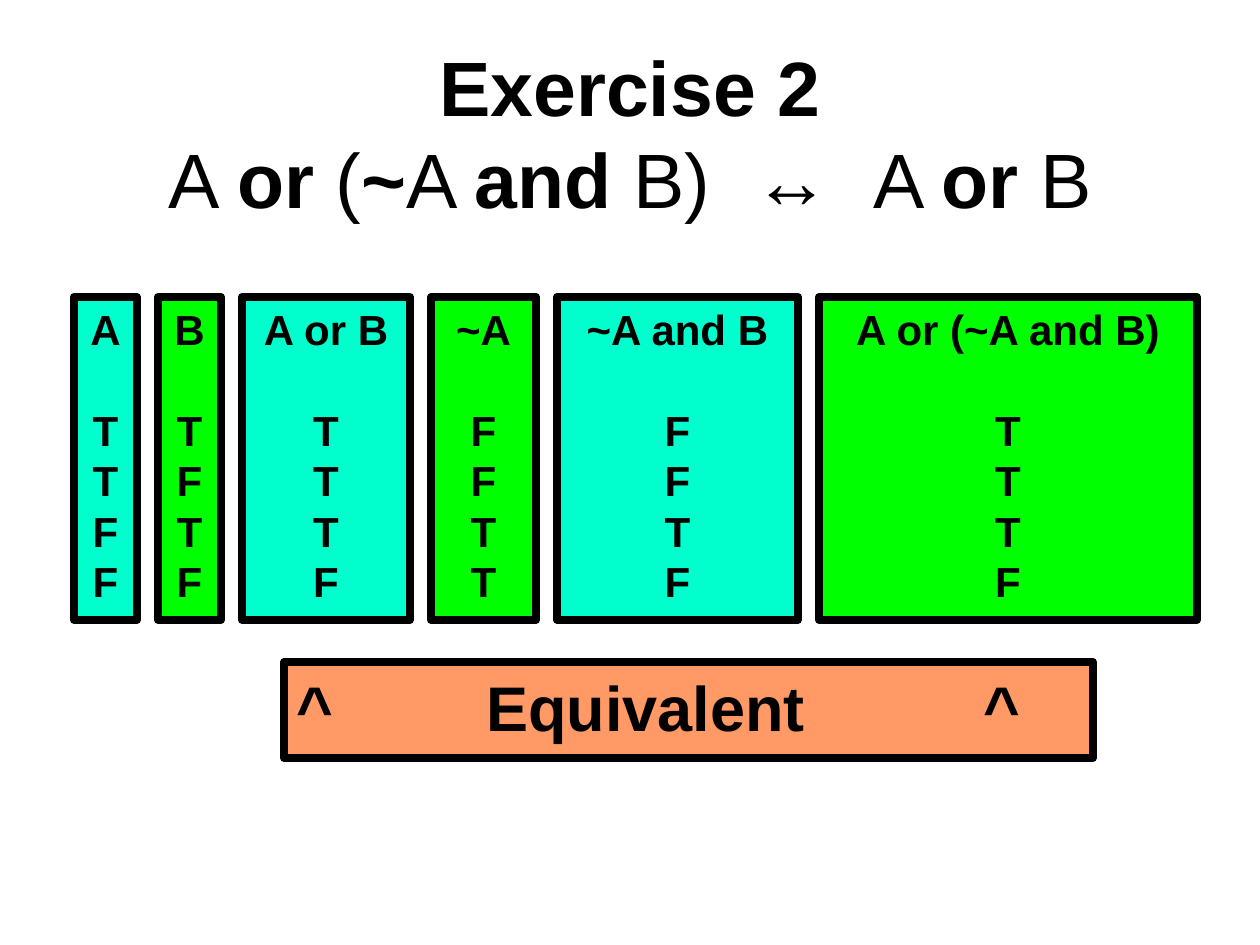
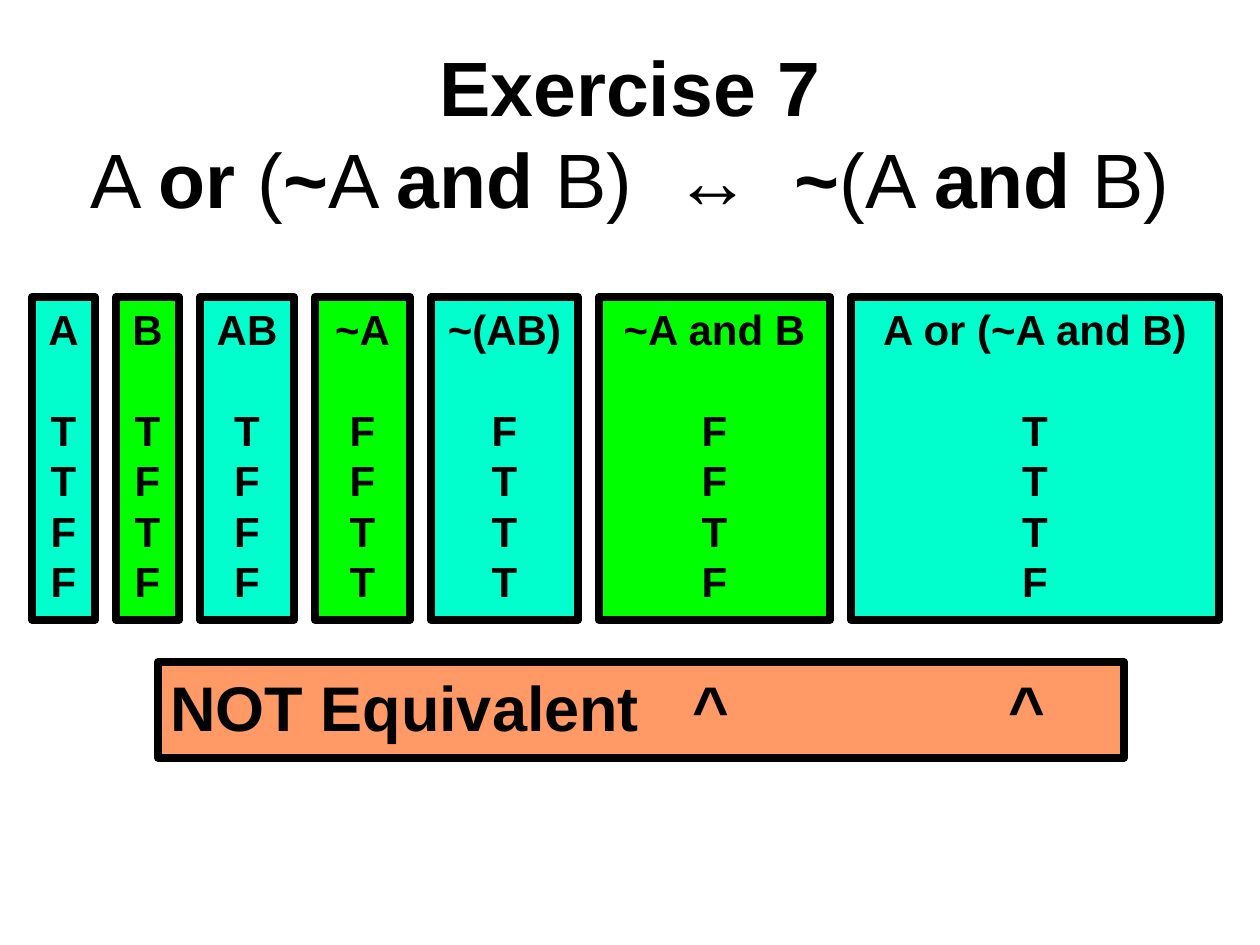
from dataclasses import dataclass

from lxml.etree import SubElement
from pptx import Presentation
from pptx.dml.color import RGBColor as Rgb
from pptx.enum.shapes import MSO_SHAPE as Shape
from pptx.enum.text import MSO_ANCHOR as Anchor, MSO_AUTO_SIZE as Fit, PP_ALIGN as Align
from pptx.oxml.ns import qn
from pptx.util import Pt

PX = 914400 // 126


@dataclass(frozen=True)
class Theme:
    """Colours, font and sizes that both slides share."""
    ink: Rgb = Rgb(0, 0, 0)
    bands: tuple = (Rgb(0, 255, 204), Rgb(0, 255, 0))
    verdict: Rgb = Rgb(255, 153, 102)
    font: str = "Arial"
    title: int = 44
    cell: int = 24
    banner: int = 36
    line: float = 4.5
    gap: int = 21


THEME = Theme()

TASKS = [
    {
        "name": "Exercise 2",
        "claim": "A |*or |(|*~|A |*and |B)| |↔| |A |*or |B",
        "left": 74,
        "cols": [("A", "TTFF", 63), ("B", "TFTF", 63), ("A or B", "TTTF", 168),
                 ("~A", "FFTT", 105), ("~A and B", "FFTF", 241),
                 ("A or (~A and B)", "TTTF", 378)],
        "verdict": ("^\tEquivalent\t^", 284, 809, (190, 687)),
    },
    {
        "name": "Exercise 7",
        "claim": "A |*or |(|*~|A |*and |B)| |↔| |*~|(A |*and |B)",
        "left": 32,
        "cols": [("A", "TTFF", 63), ("B", "TFTF", 63), ("AB", "TFFF", 94),
                 ("~A", "FFTT", 95), ("~(AB)", "FTTT", 147),
                 ("~A and B", "FFTF", 231), ("A or (~A and B)", "TTTF", 368)],
        "verdict": ("NOT Equivalent\t^\t^", 158, 966, (522, 838)),
    },
]


def assign(item, form):
    """Set each attribute in form on item."""
    for name, value in form.items():
        setattr(item, name, value)


def add_run(para, text, size, bold=True):
    """Add a run in the shared font and ink."""
    run = para.add_run()
    run.text = text
    assign(run.font, {"name": THEME.font, "size": Pt(size), "bold": bold})
    run.font.color.rgb = THEME.ink
    return run


def add_title(slide, name, claim):
    """Put the exercise name above its claim, with starred parts in bold."""
    title = slide.shapes.title
    place = {"left": 0, "top": 53, "width": 1260, "height": 158}
    assign(title, {side: size * PX for side, size in place.items()})
    frame = title.text_frame
    assign(frame, {"word_wrap": True, "auto_size": Fit.NONE,
                   "vertical_anchor": Anchor.MIDDLE})
    para = frame.paragraphs[0]
    para.alignment = Align.CENTER
    add_run(para, name, THEME.title)
    para.add_line_break()
    for part in claim.split("|"):
        run = add_run(para, part.lstrip("*"), THEME.title, part.startswith("*"))
        if part == " ":
            run.font._element.set("spc", "1222")


def add_box(slide, left, top, width, height, fill):
    """Draw a framed box and return its text frame."""
    box = slide.shapes.add_shape(
        Shape.RECTANGLE, *(size * PX for size in (left, top, width, height)))
    box.shadow.inherit = False
    box.fill.solid()
    box.fill.fore_color.rgb = fill
    box.line.color.rgb = THEME.ink
    box.line.width = Pt(THEME.line)
    assign(box.text_frame, {"word_wrap": True, "auto_size": Fit.NONE,
                            "vertical_anchor": Anchor.TOP})
    return box.text_frame


def add_column(slide, left, width, fill, head, truths):
    """Draw one truth column: a heading, a gap and its values."""
    frame = add_box(slide, left, 297, width, 323, fill)
    for row, text in enumerate((head, *truths)):
        para = frame.add_paragraph() if row else frame.paragraphs[0]
        para.alignment = Align.CENTER
        add_run(para, text, THEME.cell)
    frame.paragraphs[0].space_after = Pt(29)


def add_table_row(slide, left, cols):
    """Lay the truth columns side by side in alternating colours."""
    for spot, (head, truths, width) in enumerate(cols):
        fill = THEME.bands[spot % len(THEME.bands)]
        add_column(slide, left, width, fill, head, truths)
        left += width + THEME.gap


def add_verdict(slide, text, left, width, stops):
    """Draw the banner whose tab stops place its words and carets."""
    para = add_box(slide, left, 662, width, 96, THEME.verdict).paragraphs[0]
    para.alignment = Align.LEFT
    tabs = SubElement(para._p.get_or_add_pPr(), qn("a:tabLst"))
    for stop in stops:
        SubElement(tabs, qn("a:tab"), pos=str(stop * PX), algn="l")
    add_run(para, text, THEME.banner)


def main():
    """Build a slide for each exercise and save the deck."""
    deck = Presentation()
    assign(deck, {"slide_width": 1260 * PX, "slide_height": 945 * PX})
    for task in TASKS:
        slide = deck.slides.add_slide(deck.slide_layouts[5])
        add_title(slide, task["name"], task["claim"])
        add_table_row(slide, task["left"], task["cols"])
        add_verdict(slide, *task["verdict"])
    deck.save("out.pptx")


if __name__ == "__main__":
    main()
